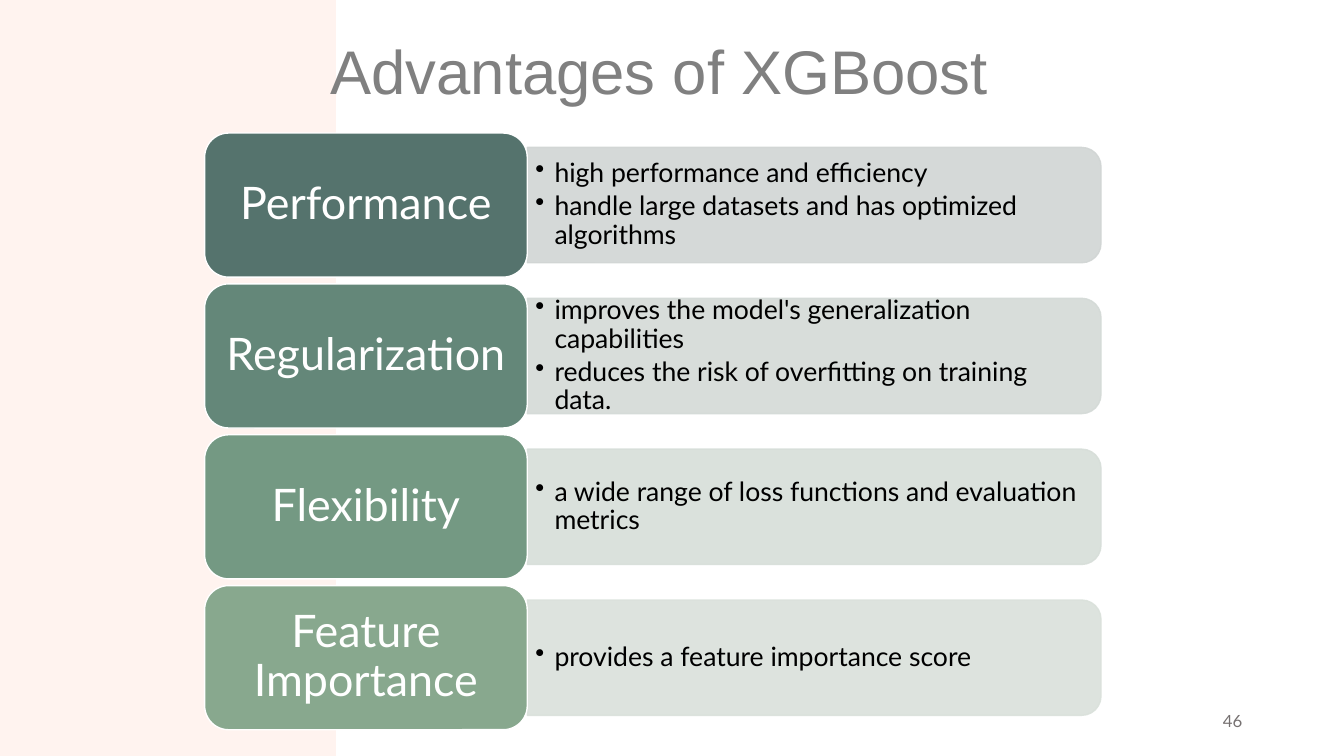
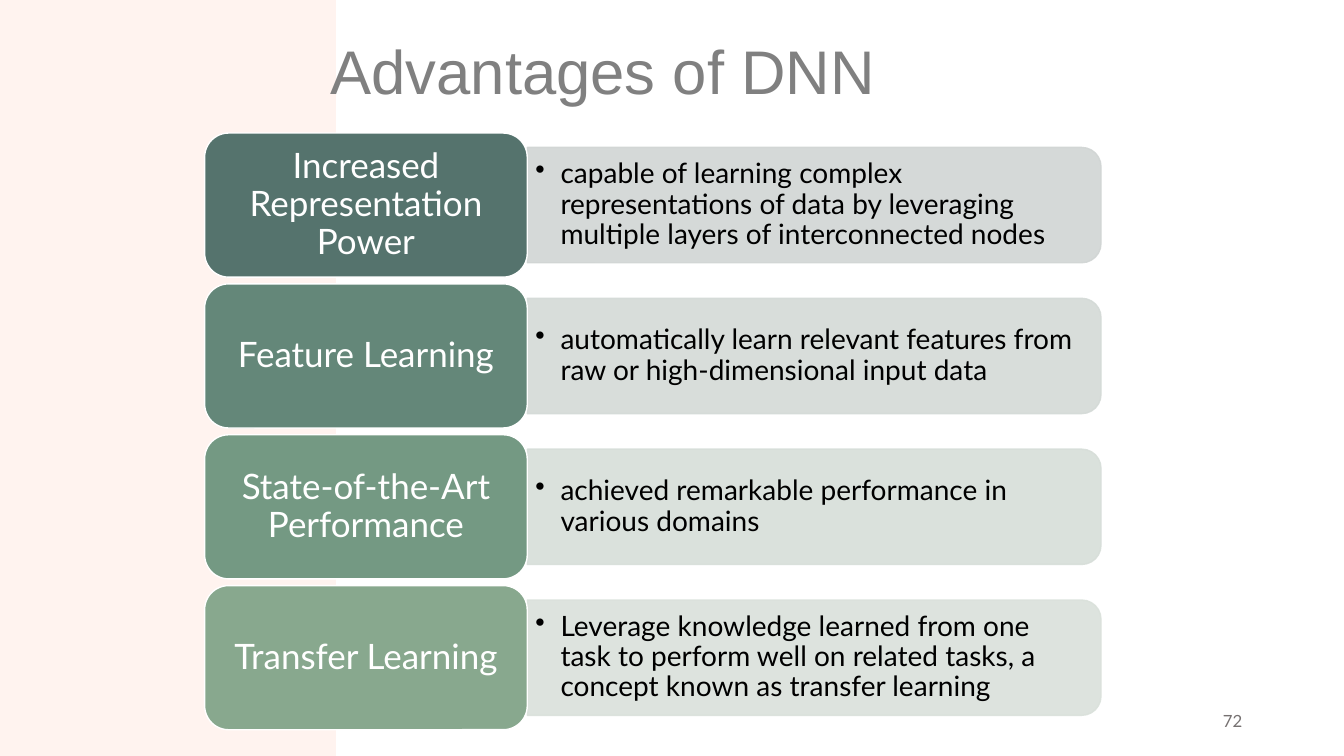
from pptx import Presentation, util as u
from pptx.dml.color import RGBColor
from pptx.enum import shapes, text
from pptx.oxml.ns import qn
from lxml import etree

# Content: each row is (label, points)
SLIDES = [
    {"title": "Advantages of XGBoost", "number": "46",
     "label_size": 32, "label_inset": (0.13, 0.07), "point_size": 19, "indent": 0.19,
     "rows": [
         ("Performance", ["high performance and efficiency",
                          "handle large datasets and has optimized algorithms"]),
         ("Regularization", ["improves the model's generalization capabilities",
                             "reduces the risk of overfitting on training data."]),
         ("Flexibility", ["a wide range of loss functions and evaluation metrics"]),
         ("Feature Importance", ["provides a feature importance score"]),
     ]},
    {"title": "Advantages of DNN", "number": "72",
     "label_size": 25, "label_inset": (0.1, 0.05), "point_size": 20, "indent": 0.25,
     "rows": [
         ("Increased Representation Power",
          ["capable of learning complex representations of data by leveraging "
           "multiple layers of interconnected nodes"]),
         ("Feature Learning",
          ["automatically learn relevant features from raw or high-dimensional input data"]),
         ("State-of-the-Art Performance",
          ["achieved remarkable performance in various domains"]),
         ("Transfer Learning",
          ["Leverage knowledge learned from one task to perform well on related tasks, "
           "a concept known as transfer learning"]),
     ]},
]

THEME = {
    "band": "FFE9E0", "white": "FFFFFF",
    "labels": ["55736D", "648779", "749983", "88A88E"],
    "panels": ["D1D5D4", "D4DAD7", "D7DED9", "DAE1DB"],
    "title": {"size": 44, "name": "Arial", "color": "808080"},
    "number": {"size": 12, "name": "Lato", "color": "767171"},
    "label": {"name": "Lato", "color": "FFFFFF"},
    "point": {"name": "Lato", "color": "000000"},
}

# Layout, in inches
WIDTH, HEIGHT = 13.33, 7.5
BAND = (0, 0, WIDTH / 4, HEIGHT)
TITLE = (3.18, 0.15, 6.97, 1.17)
NUMBER = (9.42, 6.95, 3, 0.4)
LEFT, FIRST_TOP, LAST_TOP = 2.03, 1.32, 5.81
LABEL_W, LABEL_H = 3.2, 1.43
PANEL_W, PANEL_H = 5.69, LABEL_H * 0.8
POINTS_W, POINTS_H = 5.63, 1.03


def inches(box):
    return [u.Inches(value) for value in box]


def draw_shape(slide, preset, box, color, opacity=100, line=None):
    shape = slide.shapes.add_shape(preset, *inches(box))
    shape.shadow.inherit = False
    shape.fill.solid()
    shape.fill.fore_color.rgb = RGBColor.from_string(color)
    if line:
        shape.line.color.rgb = RGBColor.from_string(line)
        shape.line.width = u.Pt(1)
    else:
        shape.line.fill.background()
    if opacity < 100:
        for tone in shape._element.spPr.iter(qn("a:srgbClr")):
            etree.SubElement(tone, qn("a:alpha"), val=str(opacity * 1000))
    return shape


def write(shape, lines, style, align="LEFT", inset=(0.1, 0.05), indent=0, spacing=0.9):
    frame = shape.text_frame
    across, down = inches(inset)
    settings = {"word_wrap": True, "vertical_anchor": text.MSO_ANCHOR.MIDDLE,
                "margin_left": across, "margin_right": across,
                "margin_top": down, "margin_bottom": down}
    for name, value in settings.items():
        setattr(frame, name, value)
    for i, line in enumerate(lines):
        paragraph = frame.paragraphs[0] if i == 0 else frame.add_paragraph()
        paragraph.text = line
        paragraph.alignment = getattr(text.PP_ALIGN, align)
        paragraph.line_spacing = spacing
        if indent:
            paragraph.space_after = u.Pt(round(style["size"] * 0.15))
            props = paragraph._p.get_or_add_pPr()
            props.set("marL", str(u.Inches(indent)))
            props.set("indent", str(-u.Inches(indent)))
            etree.SubElement(props, qn("a:buChar"), char="•")
        paragraph.font.size = u.Pt(style["size"])
        paragraph.font.name = style["name"]
        paragraph.font.color.rgb = RGBColor.from_string(style["color"])


def write_box(slide, box, lines, style, **options):
    write(slide.shapes.add_textbox(*inches(box)), lines, style, **options)


def draw_frame(slide, title, number):
    """Band, title and page number, shared by all slides."""
    draw_shape(slide, shapes.MSO_SHAPE.RECTANGLE, BAND, THEME["band"], opacity=50)
    write_box(slide, TITLE, [title], THEME["title"])
    write_box(slide, NUMBER, [number], THEME["number"], align="RIGHT", spacing=1)


def draw_row(slide, content, top, label, points, label_color, panel_color):
    middle, split = top + LABEL_H / 2, LEFT + LABEL_W
    # Panel: an upright shape turned so its round corners face right
    panel_box = (split + (PANEL_W - PANEL_H) / 2, middle - PANEL_W / 2, PANEL_H, PANEL_W)
    panel = draw_shape(slide, shapes.MSO_SHAPE.ROUND_2_SAME_RECTANGLE, panel_box,
                       panel_color, opacity=90, line=panel_color)
    panel.rotation = 90
    write_box(slide, (split, middle - POINTS_H / 2, POINTS_W, POINTS_H), points,
              {**THEME["point"], "size": content["point_size"]},
              inset=(0.08, 0.04), indent=content["indent"])
    # Label
    tile = draw_shape(slide, shapes.MSO_SHAPE.ROUNDED_RECTANGLE,
                      (LEFT, top, LABEL_W, LABEL_H), label_color, line=THEME["white"])
    write(tile, [label], {**THEME["label"], "size": content["label_size"]},
          align="CENTER", inset=content["label_inset"])


def main():
    deck = Presentation()
    deck.slide_width, deck.slide_height = inches((WIDTH, HEIGHT))
    for content in SLIDES:
        slide = deck.slides.add_slide(deck.slide_layouts[6])
        draw_frame(slide, content["title"], content["number"])
        pitch = (LAST_TOP - FIRST_TOP) / (len(content["rows"]) - 1)
        rows = zip(content["rows"], THEME["labels"], THEME["panels"])
        for i, ((label, points), label_color, panel_color) in enumerate(rows):
            draw_row(slide, content, FIRST_TOP + i * pitch, label, points,
                     label_color, panel_color)
    deck.save("out.pptx")


if __name__ == "__main__":
    main()
